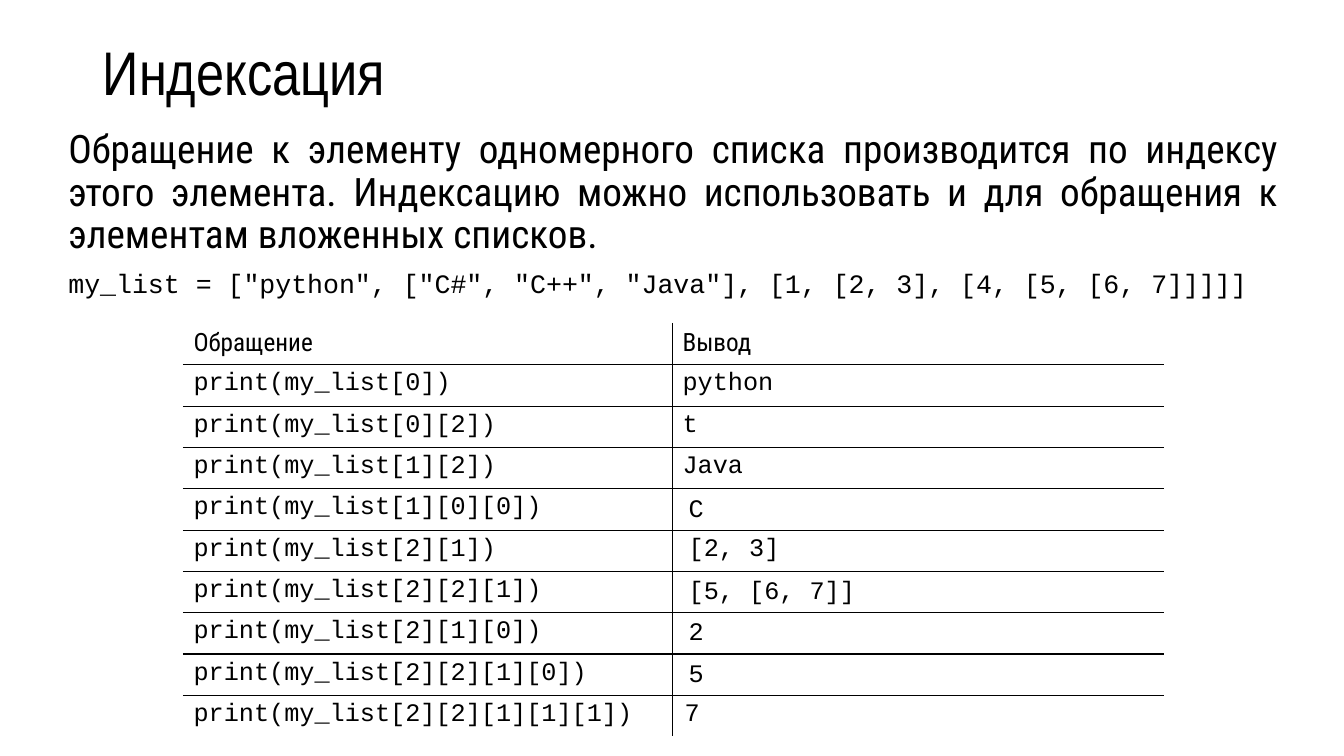
from lxml.etree import SubElement
from pptx import Presentation
from pptx.dml.color import RGBColor
from pptx.enum.shapes import MSO_SHAPE as Shape
from pptx.enum.text import MSO_ANCHOR as Anchor, MSO_AUTO_SIZE as AutoSize, PP_ALIGN as Align
from pptx.oxml.ns import qn
from pptx.util import Inches, Pt

BLACK = RGBColor(0, 0, 0)
WHITE = RGBColor(255, 255, 255)
TITLE_FONT = "Arial Narrow"
TEXT_FONT = "Roboto Condensed"
CODE_FONT = "Courier New"

HEADER = ("Обращение", "Вывод")
CALLS = [
    ("[0]", "python"),
    ("[0][2]", "t"),
    ("[1][2]", "Java"),
    ("[1][0][0]", ""),
    ("[2][1]", ""),
    ("[2][2][1]", ""),
    ("[2][1][0]", ""),
    ("[2][2][1][0]", ""),
    ("[2][2][1][1][1]", ""),
]
OUTPUTS = [
    ("C", 6.83, 4.88, 4.69),
    ("[2, 3]", 6.83, 5.27, 4.69),
    ("[5, [6, 7]]", 6.83, 5.7, 4.71),
    ("2", 6.83, 6.1, 4.79),
    ("5", 6.83, 6.52, 4.79),
    ("7", 6.79, 6.91, 4.79),
]
EXPLANATION = (
    "Обращение к элементу одномерного списка производится по индексу этого элемента. "
    "Индексацию можно использовать и для обращения к элементам вложенных списков."
)
DEFINITION = 'my_list = ["python", ["C#", "C++", "Java"], [1, [2, 3], [4, [5, [6, 7]]]]]'


def assign(target, values):
    for name, value in values.items():
        setattr(target, name, value)


class IndexingSlide:
    def __init__(self, deck):
        self.slide = deck.slides.add_slide(deck.slide_layouts[5])

    def add_text(self, paragraph, text, font, size, **layout):
        run = paragraph.add_run()
        run.text = text
        assign(run.font, {"name": font, "size": Pt(size)})
        run.font.color.rgb = BLACK
        assign(paragraph, layout)

    def title(self, text, left, top, width, height):
        title = self.slide.shapes.title
        assign(title, {"left": Inches(left), "top": Inches(top),
                       "width": Inches(width), "height": Inches(height)})
        assign(title.text_frame, {"vertical_anchor": Anchor.MIDDLE, "auto_size": AutoSize.NONE})
        self.add_text(title.text_frame.paragraphs[0], text, TITLE_FONT, 44,
                      alignment=Align.LEFT, line_spacing=0.9)

    def body(self, passages, left, top, width, height):
        frame = self.slide.shapes.add_textbox(
            Inches(left), Inches(top), Inches(width), Inches(height)).text_frame
        frame.word_wrap = True
        for index, (text, font, size) in enumerate(passages):
            paragraph = frame.add_paragraph() if index else frame.paragraphs[0]
            self.add_text(paragraph, text, font, size, alignment=Align.JUSTIFY,
                          line_spacing=0.9, space_before=Pt(10))

    def border(self, cell, sides):
        properties = cell._tc.get_or_add_tcPr()
        for side in sides:
            line = SubElement(properties, qn(f"a:ln{side}"), w=str(Pt(1)))
            fill = SubElement(line, qn("a:solidFill"))
            SubElement(fill, qn("a:srgbClr"), val=str(BLACK))

    def table(self, rows, left, top, widths, row_height):
        table = self.slide.shapes.add_table(
            len(rows), len(widths), Inches(left), Inches(top),
            Inches(sum(widths)), Inches(row_height * len(rows))).table
        assign(table, {"first_row": False, "horz_banding": False})
        for column, width in zip(table.columns, widths):
            column.width = Inches(width)
        for row_index, row in enumerate(rows):
            table.rows[row_index].height = Inches(row_height)
            font = CODE_FONT if row_index else TEXT_FONT
            for column_index, text in enumerate(row):
                cell = table.cell(row_index, column_index)
                sides = ["L" if column_index else "R"]
                if row_index > 0:
                    sides.append("T")
                if row_index < len(rows) - 1:
                    sides.append("B")
                self.border(cell, sides)
                cell.fill.solid()
                cell.fill.fore_color.rgb = WHITE
                if text:
                    self.add_text(cell.text_frame.paragraphs[0], text, font, 18)

    def output(self, text, left, top, width, height=0.3):
        output = self.slide.shapes.add_shape(
            Shape.RECTANGLE, Inches(left), Inches(top), Inches(width), Inches(height))
        output.shadow.inherit = False
        output.fill.solid()
        output.fill.fore_color.rgb = WHITE
        output.line.fill.background()
        assign(output.text_frame, {
            "margin_left": 0, "margin_top": 0, "margin_right": 0, "margin_bottom": 0,
            "vertical_anchor": Anchor.MIDDLE, "word_wrap": True,
            "auto_size": AutoSize.SHAPE_TO_FIT_TEXT})
        self.add_text(output.text_frame.paragraphs[0], text, CODE_FONT, 18, alignment=Align.LEFT)


def main():
    deck = Presentation()
    assign(deck, {"slide_width": Inches(13.33), "slide_height": Inches(7.5)})
    indexing = IndexingSlide(deck)
    indexing.title("Индексация", 0.92, 0.02, 11.5, 1.45)
    indexing.body([(EXPLANATION, TEXT_FONT, 28), (DEFINITION, CODE_FONT, 19)],
                  0.58, 1.24, 12.19, 5.88)
    calls = [(f"print(my_list{index})", result) for index, result in CALLS]
    indexing.table([HEADER, *calls], 1.82, 3.21, (4.85, 4.87), 0.41)
    for output in OUTPUTS:
        indexing.output(*output)
    deck.save("out.pptx")


if __name__ == "__main__":
    main()
